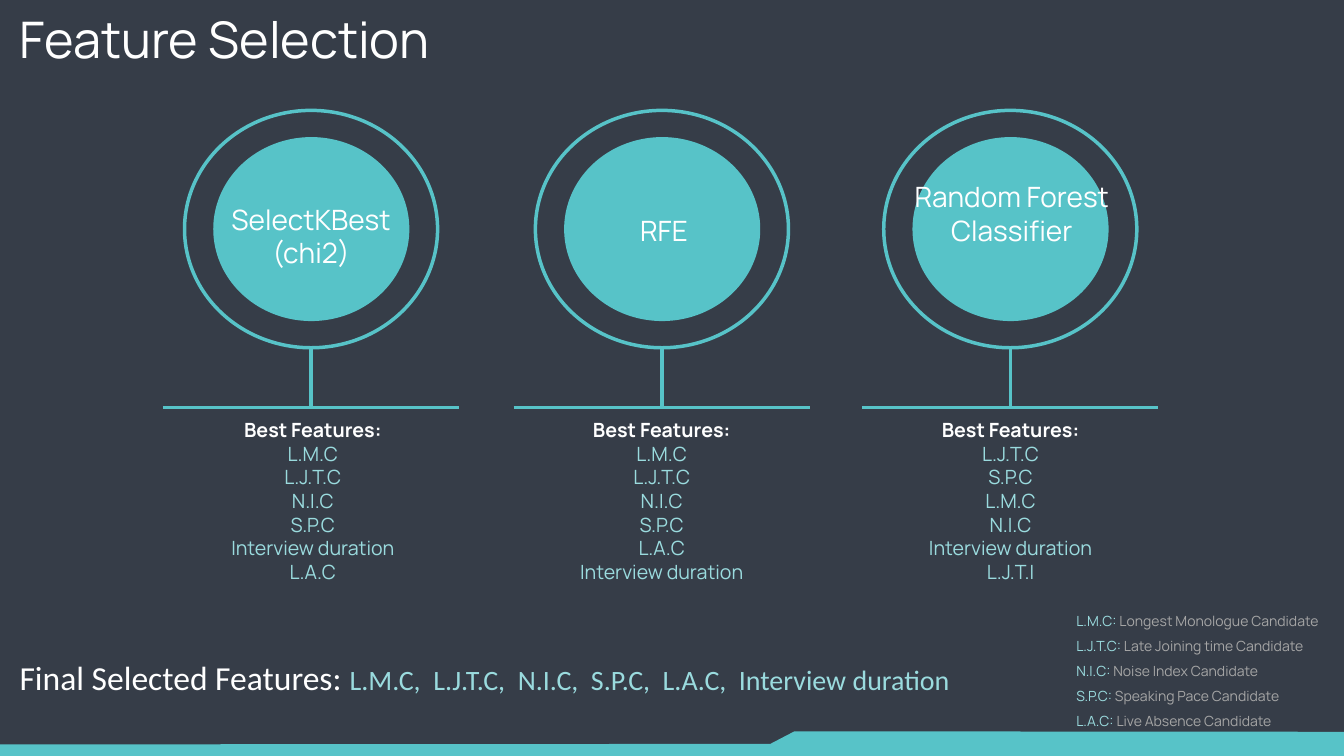
from dataclasses import dataclass

from lxml import etree
from pptx import Presentation
from pptx.dml.color import RGBColor
from pptx.enum.shapes import MSO_CONNECTOR, MSO_SHAPE
from pptx.enum.text import MSO_ANCHOR, MSO_AUTO_SIZE, PP_ALIGN
from pptx.oxml.ns import qn
from pptx.util import Pt

OVAL = MSO_SHAPE.OVAL
STRAIGHT = MSO_CONNECTOR.STRAIGHT
TOP = MSO_ANCHOR.TOP
FIXED = MSO_AUTO_SIZE.NONE
LEFT = PP_ALIGN.LEFT
CENTER = PP_ALIGN.CENTER

EMU_PER_PX = 9144
SLIDE_WIDTH, SLIDE_HEIGHT = 2666, 1500
COMPARISON_LAYOUT = 3 + 1


@dataclass(frozen=True)
class Theme:
    background: str = "363D48"
    accent: str = "57C3C8"
    pale: str = "9ADBDE"
    white: str = "FFFFFF"
    grey: str = "A6A6A6"
    font: str = "Manrope"
    summary_font: str = "Calibri"
    title_size: int = 72
    summary_size: int = 48
    label_size: int = 40
    list_size: int = 28
    legend_size: int = 20
    line_width: int = 5


METHODS = [
    (617, ["SelectKBest", "(chi2)"], (404, 396, 426, 145),
     ["L.M.C", "L.J.T.C", "N.I.C", "S.P.C", "Interview duration", "L.A.C"]),
    (1313, ["RFE"], (1104, 419, 426, 77),
     ["L.M.C", "L.J.T.C", "N.I.C", "S.P.C", "L.A.C", "Interview duration"]),
    (2004, ["Random Forest Classifier"], (1794, 352, 426, 212),
     ["L.J.T.C", "S.P.C", "L.M.C", "N.I.C", "Interview duration", "L.J.T.I"]),
]
SELECTED = ["L.M.C", "L.J.T.C", "N.I.C", "S.P.C", "L.A.C", "Interview duration"]
LEGEND = [
    ("L.M.C", "Longest Monologue Candidate"),
    ("L.J.T.C", "Late Joining time Candidate"),
    ("N.I.C", "Noise Index Candidate"),
    ("S.P.C", "Speaking Pace Candidate"),
    ("L.A.C", "Live Absence Candidate"),
]
BAND = [(0, 1500), (2666, 1500), (2666, 1452), (1576, 1451), (1528, 1476), (0, 1477)]


def px(value):
    return value * EMU_PER_PX


def color(code):
    return RGBColor.from_string(code)


def add_span(para, text, *, size, fill, font, bold=False):
    span = para.add_run()
    span.text = text
    span.font.size = Pt(size)
    span.font.name = font
    span.font.bold = bold
    span.font.color.rgb = color(fill)


class Page:
    def __init__(self, deck, theme):
        self.theme = theme
        self.slide = deck.slides.add_slide(deck.slide_layouts[COMPARISON_LAYOUT])
        self.shapes = self.slide.shapes
        self.slide.background.fill.solid()
        self.slide.background.fill.fore_color.rgb = color(theme.background)

    def place(self, box, area):
        box.left, box.top, box.width, box.height = map(px, area)
        frame = box.text_frame
        frame.word_wrap = True
        frame.auto_size = FIXED
        frame.vertical_anchor = TOP
        return frame

    def title(self, area):
        return self.place(self.shapes.title, area)

    def body(self, index, area):
        return self.place(self.slide.placeholders[index], area)

    def text_box(self, area):
        return self.place(self.shapes.add_textbox(*map(px, area)), area)

    def para(self, frame, first, align=LEFT, spacing=1.0):
        para = frame.paragraphs[0] if first else frame.add_paragraph()
        para.alignment = align
        para.line_spacing = spacing
        para.space_before = Pt(0)
        properties = para._p.get_or_add_pPr()
        properties.set("marL", "0")
        properties.set("indent", "0")
        etree.SubElement(properties, qn("a:buNone"))
        return para

    def circle(self, center_x, center_y, width, height, filled):
        area = (center_x - width // 2, center_y - height // 2, width, height)
        circle = self.shapes.add_shape(OVAL, *map(px, area))
        circle.shadow.inherit = False
        if filled:
            circle.fill.solid()
            circle.fill.fore_color.rgb = color(self.theme.accent)
            circle.line.fill.background()
        else:
            circle.fill.background()
            circle.line.color.rgb = color(self.theme.accent)
            circle.line.width = Pt(self.theme.line_width)

    def line(self, *ends):
        line = self.shapes.add_connector(STRAIGHT, *map(px, ends))
        line.line.color.rgb = color(self.theme.accent)
        line.line.width = Pt(self.theme.line_width)
        etree.SubElement(line._element.spPr, qn("a:effectLst"))

    def band(self, points):
        builder = self.shapes.build_freeform(*points[0], scale=EMU_PER_PX)
        builder.add_line_segments(points[1:], close=True)
        band = builder.convert_to_shape()
        band.shadow.inherit = False
        band.fill.solid()
        band.fill.fore_color.rgb = color(self.theme.accent)
        band.line.fill.background()

    def method(self, center_x, label_lines, label_area):
        theme = self.theme
        self.circle(center_x, 454, 389, 365, filled=True)
        self.circle(center_x, 454, 502, 471, filled=False)
        self.line(center_x, 690, center_x, 810)
        self.line(center_x - 294, 809, center_x + 294, 809)
        frame = self.text_box(label_area)
        for number, text in enumerate(label_lines):
            para = self.para(frame, number == 0, CENTER)
            add_span(para, text, size=theme.label_size, fill=theme.white, font=theme.font)

    def feature_list(self, index, area, features):
        theme = self.theme
        frame = self.body(index, area)
        for number, feature in enumerate(features):
            para = self.para(frame, number == 0, CENTER)
            if number == 0:
                add_span(para, "Best Features:", size=theme.list_size,
                         fill=theme.white, font=theme.font, bold=True)
                para.add_line_break()
            add_span(para, feature, size=theme.list_size, fill=theme.pale, font=theme.font)

    def legend(self, index, area, entries):
        theme = self.theme
        frame = self.body(index, area)
        for number, (short, meaning) in enumerate(entries):
            para = self.para(frame, number == 0, spacing=1.5)
            for text, fill in ((f"{short}: ", theme.pale), (meaning, theme.grey)):
                add_span(para, text, size=theme.legend_size, fill=fill, font=theme.font)


def main():
    theme = Theme()
    deck = Presentation()
    deck.slide_width, deck.slide_height = px(SLIDE_WIDTH), px(SLIDE_HEIGHT)
    page = Page(deck, theme)

    page.band(BAND)
    heading = page.para(page.title((29, 12, 902, 131)), True)
    add_span(heading, "Feature Selection", size=theme.title_size,
             fill=theme.white, font=theme.font)

    for number, (center_x, label_lines, label_area, features) in enumerate(METHODS):
        page.method(center_x, label_lines, label_area)
        page.feature_list(number + 1, (387 + 692 * number, 825, 467, 340), features)

    summary = page.para(page.text_box((29, 1298, 1914, 91)), True)
    add_span(summary, "Final Selected Features: ", size=theme.summary_size,
             fill=theme.white, font=theme.summary_font)
    add_span(summary, ",  ".join(SELECTED), size=theme.label_size,
             fill=theme.pale, font=theme.summary_font)

    page.legend(4, (2125, 1193, 541, 384), LEGEND)
    deck.save("out.pptx")


if __name__ == "__main__":
    main()
